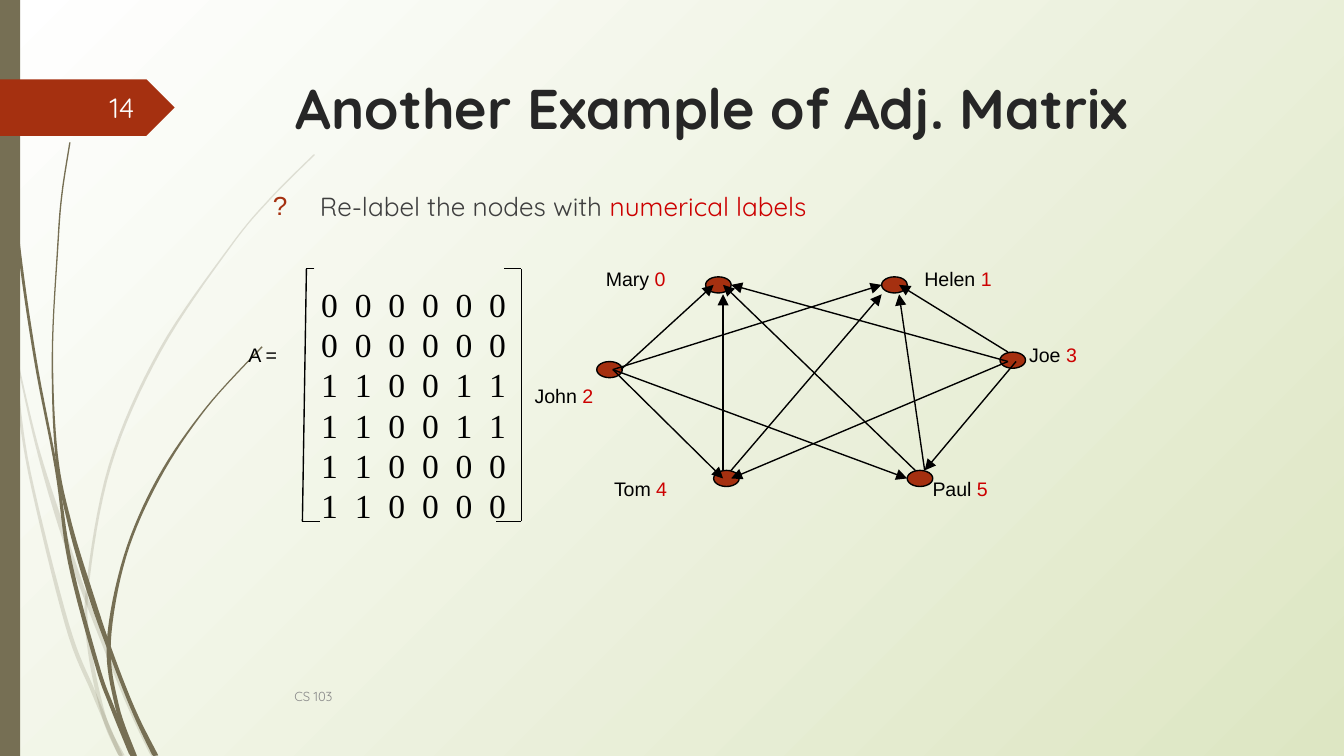
import itertools
import math
import lxml.etree
import pptx
import pptx.dml.color
import pptx.enum.dml
import pptx.enum.shapes
import pptx.enum.text
import pptx.oxml.ns
import pptx.util

Inches, Pt, qn = pptx.util.Inches, pptx.util.Pt, pptx.oxml.ns.qn
SHAPES = pptx.enum.shapes.MSO_SHAPE
ALIGN = pptx.enum.text.PP_ALIGN
ANCHOR = pptx.enum.text.MSO_ANCHOR

THEME = {
    "paper": "FFFFFF", "meadow": "DDE6C3", "stem": "766F54", "rust": "A53010", "ink": "000000",
    "title": {"size": 30, "name": "Quicksand", "color": "262626", "bold": True},
    "body": {"size": 14, "name": "Quicksand", "color": "3F3F3F"},
    "footer": {"size": 7, "name": "Quicksand", "color": "888888"},
    "number": {"size": 15, "name": "Quicksand", "color": "FEFFFF"},
    "label": {"size": 10.5, "name": "Arial", "color": "000000"},
    "matrix": {"size": 18, "name": "Times New Roman", "color": "000000"},
    "accent": "CC0000",
}
SIZE = (10, 10 * 9 / 16)
NARROW, WIDE = (0.07, 0.04), (0.1, 0.05)

PALE_STEMS = [
    [(0, 2.17, .03), (.08, 2.6, .01), (.12, 2.84, .02), (.22, 3.52, .02), (.5, 4.65, .03),
     (.7, 5.16, .03), (.9, 5.63, .03)],
    [(.11, 2.6, .01), (.27, 3.3, .02), (.45, 3.9, .04), (.64, 4.45, .03), (.94, 5.2, .03),
     (1.14, 5.63, .03)],
    [(2.34, 1.15, .01), (2.01, 1.48, .01), (1.71, 1.84, .01), (1.19, 2.61, .02), (.82, 3.46, .02),
     (.65, 4.38, .02), (.67, 4.85, .03), (.78, 5.35, .03), (.91, 5.63, .04)],
]
DARK_STEMS = [
    [(.03, 0, .01), (.03, .36, .01), (.06, .82, .01), (.13, 1.74, .02), (.26, 2.66, .02),
     (.42, 3.5, .02), (.52, 4.18, .03), (.72, 4.94, .03), (.83, 5.25, .03), (.99, 5.63, .04)],
    [(.52, 1.06, .01), (.46, 1.45, .01), (.43, 1.83, .01), (.39, 2.62, .01), (.42, 3.38, .02),
     (.52, 3.9, .03), (.68, 4.44, .04), (.83, 4.87, .03), (1, 5.3, .03), (1.16, 5.63, .04)],
    [(1.95, 2.58, .01), (1.53, 3.04, .01), (1.18, 3.56, .02), (.93, 4.14, .02),
     (.81, 4.78, .03), (.87, 5.25, .03), (1, 5.63, .04)],
]

TITLE = "Another Example of Adj. Matrix"
STATEMENT = ("Re-label the nodes with ", "numerical labels")
FOOTER, NUMBER = "CS 103", "14"

NODE_SIZE = (0.19, 0.12)
NODES = [
    ("Mary ", "0", (5.25, 2.06), (4.41, 1.94, 0.65)),
    ("Helen ", "1", (6.56, 2.06), (6.78, 1.94, 0.71)),
    ("John ", "2", (4.44, 2.69), (3.88, 2.81, 0.65)),
    ("Joe ", "3", (7.44, 2.62), (7.56, 2.5, 0.67)),
    ("Tom ", "4", (5.31, 3.5), (4.47, 3.5, 0.62)),
    ("Paul ", "5", (6.75, 3.5), (6.84, 3.5, 0.62)),
]
ARROWS = [
    ((4.62, 2.75), (5.31, 2.12)), ((4.56, 2.75), (6.56, 2.12)),
    ((7.5, 2.62), (6.69, 2.12)), ((7.5, 2.69), (5.44, 2.12)),
    ((4.56, 2.75), (5.38, 3.56)), ((4.56, 2.75), (6.75, 3.56)),
    ((7.5, 2.69), (5.44, 3.56)), ((7.56, 2.69), (6.88, 3.5)),
    ((5.38, 3.5), (5.38, 2.19)), ((6.88, 3.5), (6.69, 2.19)),
    ((5.44, 3.5), (6.56, 2.19)), ((6.81, 3.5), (5.38, 2.12)),
]
MATRIX_NAME = "A ="
MATRIX = ["000000", "000000", "110011", "110011", "110000", "110000"]
BRACKETS = [
    [(2.34, 2), (2.28, 2), (2.25, 3.88), (2.38, 3.88)],
    [(3.75, 2), (3.88, 2), (3.88, 3.88), (3.69, 3.88)],
]


def rgb(code):
    return pptx.dml.color.RGBColor.from_string(code)


def assign(target, values):
    for name, value in values.items():
        setattr(target, name, value)


def add_span(para, text, style):
    span = para.add_run()
    span.text = text
    values = {**style, "size": Pt(style["size"])}
    span.font.color.rgb = rgb(values.pop("color"))
    assign(span.font, values)


def add_box(page, place, insets, wrap=True, anchor=ANCHOR.TOP):
    frame = page.shapes.add_textbox(*map(Inches, place)).text_frame
    side, top = map(Inches, insets)
    assign(frame, {"margin_left": side, "margin_right": side, "margin_top": top,
                   "margin_bottom": top, "word_wrap": wrap, "vertical_anchor": anchor})
    return frame


def paint(shape, color, line=None):
    shape.shadow.inherit = False
    shape.fill.solid()
    shape.fill.fore_color.rgb = rgb(color)
    if line:
        shape.line.color.rgb = rgb(line)
        shape.line.width = Pt(0.75)
    else:
        shape.line.fill.background()


def add_preset(page, kind, place, color, line=None):
    shape = page.shapes.add_shape(kind, *map(Inches, place))
    paint(shape, color, line)


def add_line(page, start, end, arrow=False):
    line = page.shapes.add_connector(
        pptx.enum.shapes.MSO_CONNECTOR.STRAIGHT, *map(Inches, start + end))
    line.line.color.rgb = rgb(THEME["ink"])
    line.line.width = Pt(0.75)
    if arrow:
        lxml.etree.SubElement(line.line._get_or_add_ln(), qn("a:tailEnd"), type="triangle")
    lxml.etree.SubElement(line.element.spPr, qn("a:effectLst"))


def smooth_curve(knots, steps=8):
    padded = [knots[0], *knots, knots[-1]]
    curve = []
    for a, b, c, d in zip(padded, padded[1:], padded[2:], padded[3:]):
        for t in (step / steps for step in range(steps)):
            curve.append(tuple(
                q + t * (r - p) / 2 + t * t * (p - 2.5 * q + 2 * r - s / 2)
                + t ** 3 * (1.5 * (q - r) + (s - p) / 2)
                for p, q, r, s in zip(a, b, c, d)))
    return curve + [knots[-1]]


def add_stem(page, knots, opacity=None):
    curve = smooth_curve(knots)
    left, right = [], []
    for index, (x, y, width) in enumerate(curve):
        before, after = curve[max(index - 1, 0)], curve[min(index + 1, len(curve) - 1)]
        angle = math.atan2(after[1] - before[1], after[0] - before[0])
        dx, dy = -math.sin(angle) * width / 2, math.cos(angle) * width / 2
        left.append((Inches(x + dx), Inches(min(y + dy, SIZE[1]))))
        right.append((Inches(x - dx), Inches(min(y - dy, SIZE[1]))))
    outline = left + right[::-1]
    builder = page.shapes.build_freeform(*outline[0])
    builder.add_line_segments(outline[1:], close=True)
    stem = builder.convert_to_shape()
    paint(stem, THEME["stem"])
    if opacity:
        color = stem.element.spPr.find(qn("a:solidFill")).find(qn("a:srgbClr"))
        lxml.etree.SubElement(color, qn("a:alpha"), val=str(opacity * 1000))


def draw_background(page):
    fill = page.background.fill
    fill.gradient()
    for stop, name, position in zip(fill.gradient_stops, ("paper", "meadow"), (0, 1)):
        stop.color.rgb = rgb(THEME[name])
        stop.position = position
    gradient = page.element.find(".//" + qn("a:gradFill"))
    gradient.remove(gradient.find(qn("a:lin")))
    radial = lxml.etree.SubElement(gradient, qn("a:path"), path="circle")
    lxml.etree.SubElement(radial, qn("a:fillToRect"), r="100000", b="100000")
    for knots in PALE_STEMS:
        add_stem(page, knots, 20)
    for knots in DARK_STEMS:
        add_stem(page, knots)
    add_preset(page, SHAPES.RECTANGLE, (0, 0, 0.15, SIZE[1]), THEME["stem"])
    add_preset(page, SHAPES.PENTAGON, (0, 0.59, 1.3, 0.42), THEME["rust"])


def draw_text(page):
    footer = add_box(page, (2.12, 5.03, 6.25, 0.3), NARROW, anchor=ANCHOR.MIDDLE)
    add_span(footer.paragraphs[0], FOOTER, THEME["footer"])
    number = add_box(page, (0.43, 0.65, 0.64, 0.3), NARROW, anchor=ANCHOR.MIDDLE)
    number.paragraphs[0].alignment = ALIGN.RIGHT
    add_span(number.paragraphs[0], NUMBER, THEME["number"])
    title = add_box(page, (2.13, 0.51, 7.31, 1.05), NARROW)
    add_span(title.paragraphs[0], TITLE, THEME["title"])

    para = add_box(page, (1.81, 1.38, 6.38, 3.38), NARROW).paragraphs[0]
    layout = para._p.get_or_add_pPr()
    layout.set("marL", str(Inches(0.5)))
    layout.set("indent", str(Inches(-0.35)))
    color = lxml.etree.SubElement(layout, qn("a:buClr"))
    lxml.etree.SubElement(color, qn("a:srgbClr"), val=THEME["rust"])
    lxml.etree.SubElement(layout, qn("a:buFont"), typeface="Arial")
    lxml.etree.SubElement(layout, qn("a:buChar"), char="?")
    add_span(para, STATEMENT[0], THEME["body"])
    add_span(para, STATEMENT[1], {**THEME["body"], "color": THEME["accent"]})


def draw_graph(page):
    for name, digit, corner, (left, top, width) in NODES:
        add_preset(page, SHAPES.OVAL, corner + NODE_SIZE, THEME["rust"], THEME["ink"])
        para = add_box(page, (left, top, width, 0.28), WIDE, wrap=False).paragraphs[0]
        add_span(para, name, THEME["label"])
        add_span(para, digit, {**THEME["label"], "color": THEME["accent"]})
    for start, end in ARROWS:
        add_line(page, start, end, arrow=True)


def draw_matrix(page):
    frame = add_box(page, (2.22, 2.06, 1.72, 1.92), WIDE)
    frame.margin_left = Inches(0.17)
    for index, row in enumerate(MATRIX):
        para = frame.add_paragraph() if index else frame.paragraphs[0]
        para.line_spacing = Pt(21.6)
        tabs = lxml.etree.SubElement(para._p.get_or_add_pPr(), qn("a:tabLst"))
        for column in range(1, len(row)):
            lxml.etree.SubElement(tabs, qn("a:tab"), pos=str(Inches(0.25 * column)), algn="l")
        add_span(para, "\t".join(row), THEME["matrix"])
    for corners in BRACKETS:
        for start, end in itertools.pairwise(corners):
            add_line(page, start, end)
    name = add_box(page, (1.75, 2.5, 0.43, 0.28), WIDE, wrap=False)
    add_span(name.paragraphs[0], MATRIX_NAME, THEME["label"])


def main():
    deck = pptx.Presentation()
    deck.slide_width, deck.slide_height = map(Inches, SIZE)
    page = deck.slides.add_slide(deck.slide_layouts[6])
    for draw in (draw_background, draw_text, draw_graph, draw_matrix):
        draw(page)
    deck.save("out.pptx")


if __name__ == "__main__":
    main()
